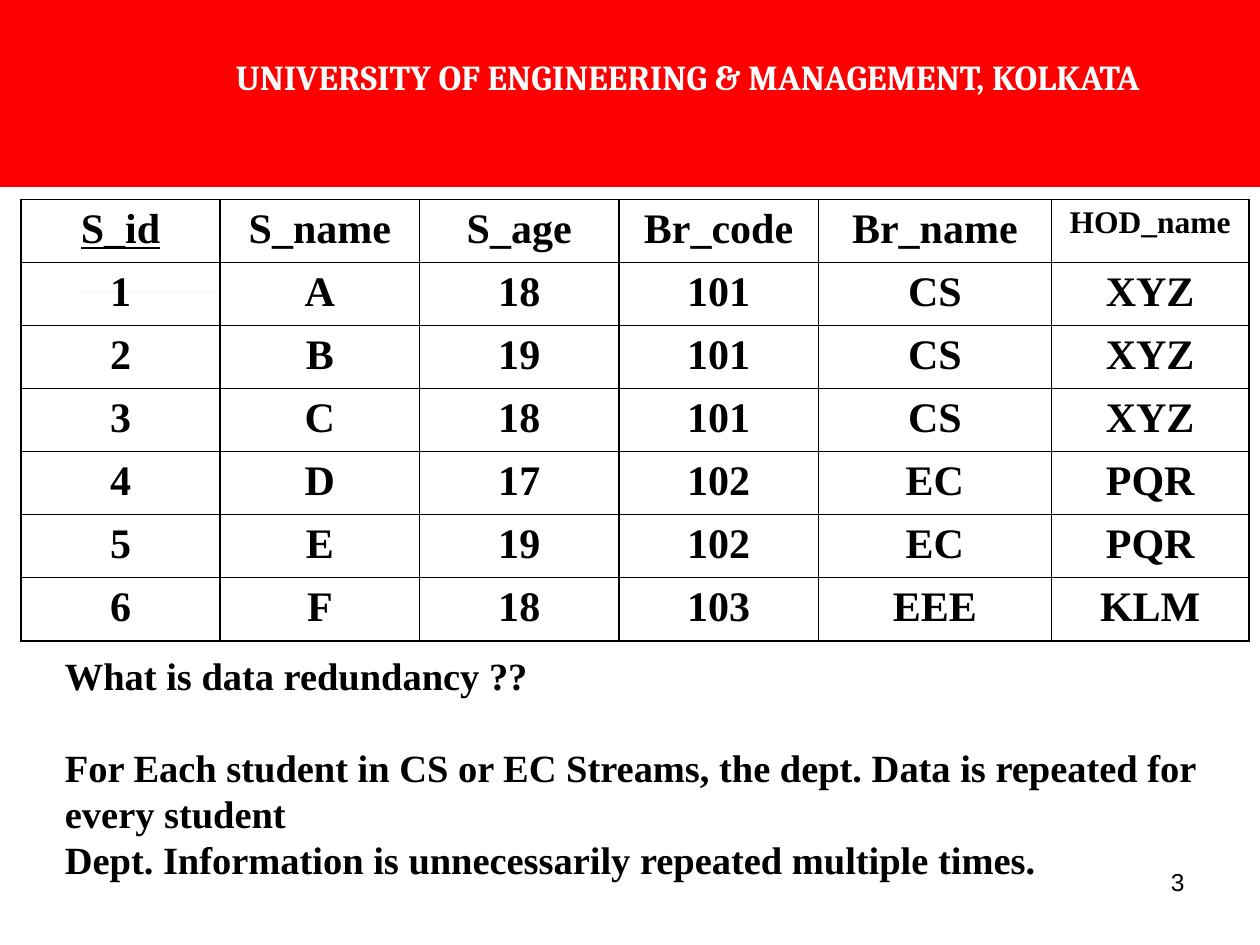
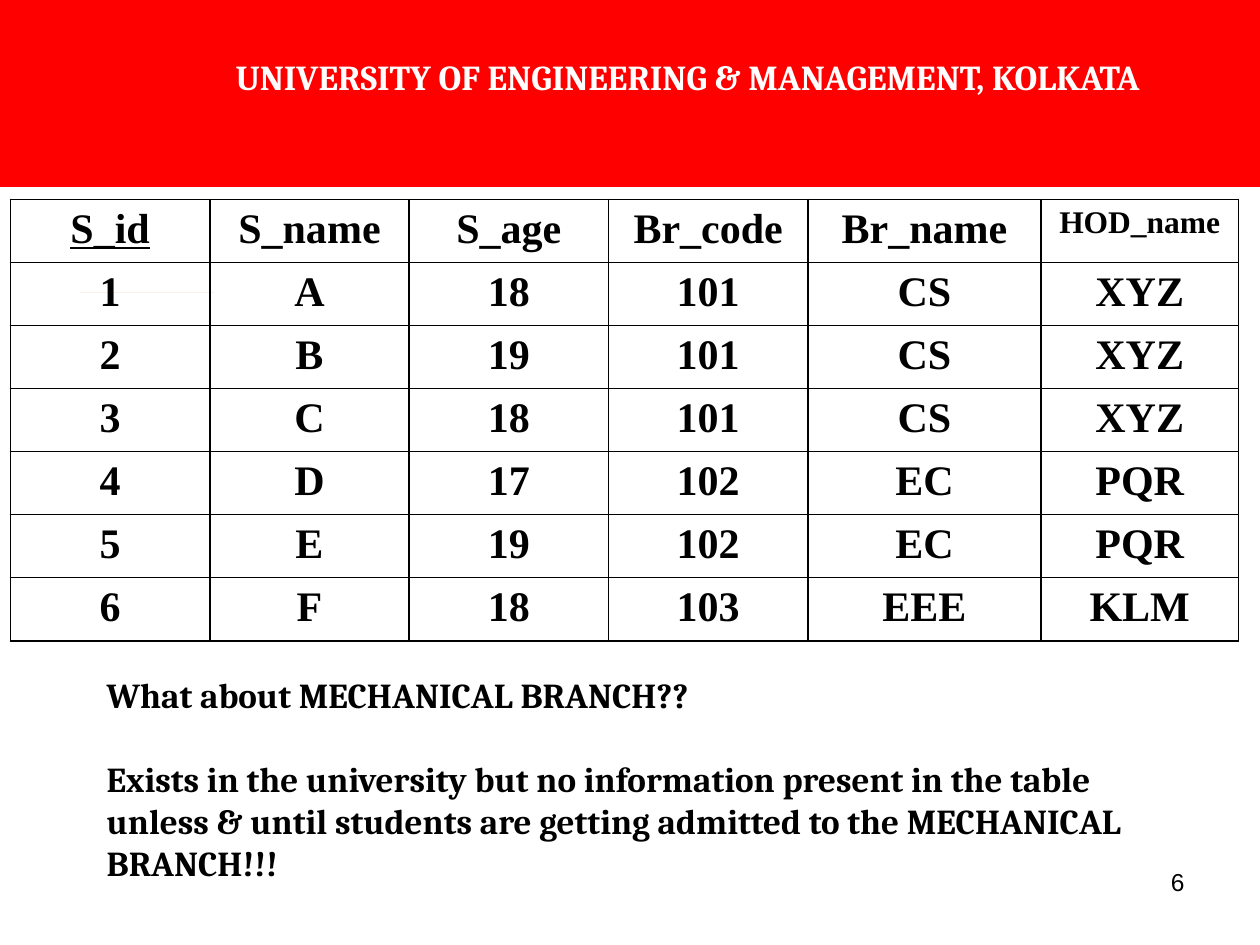
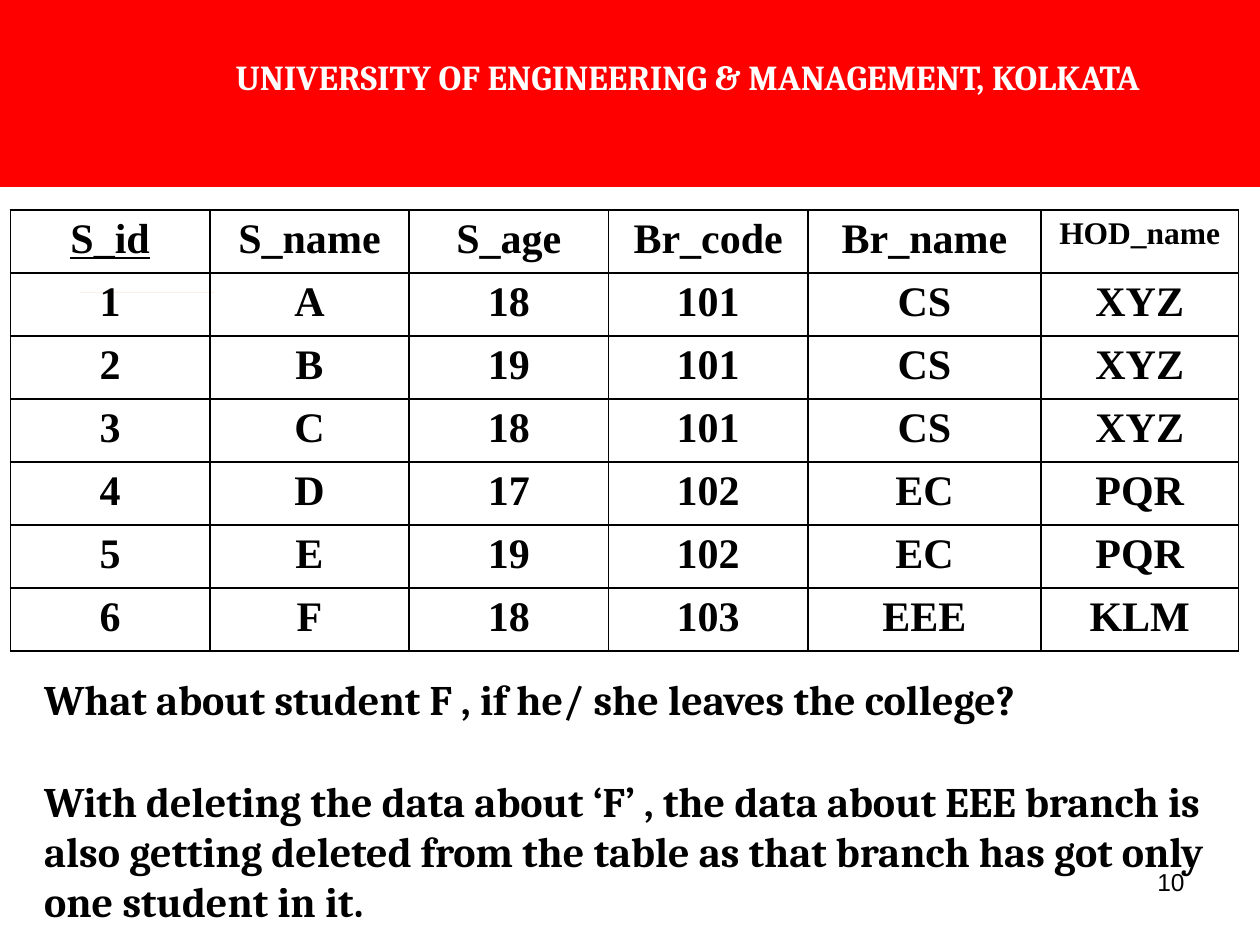
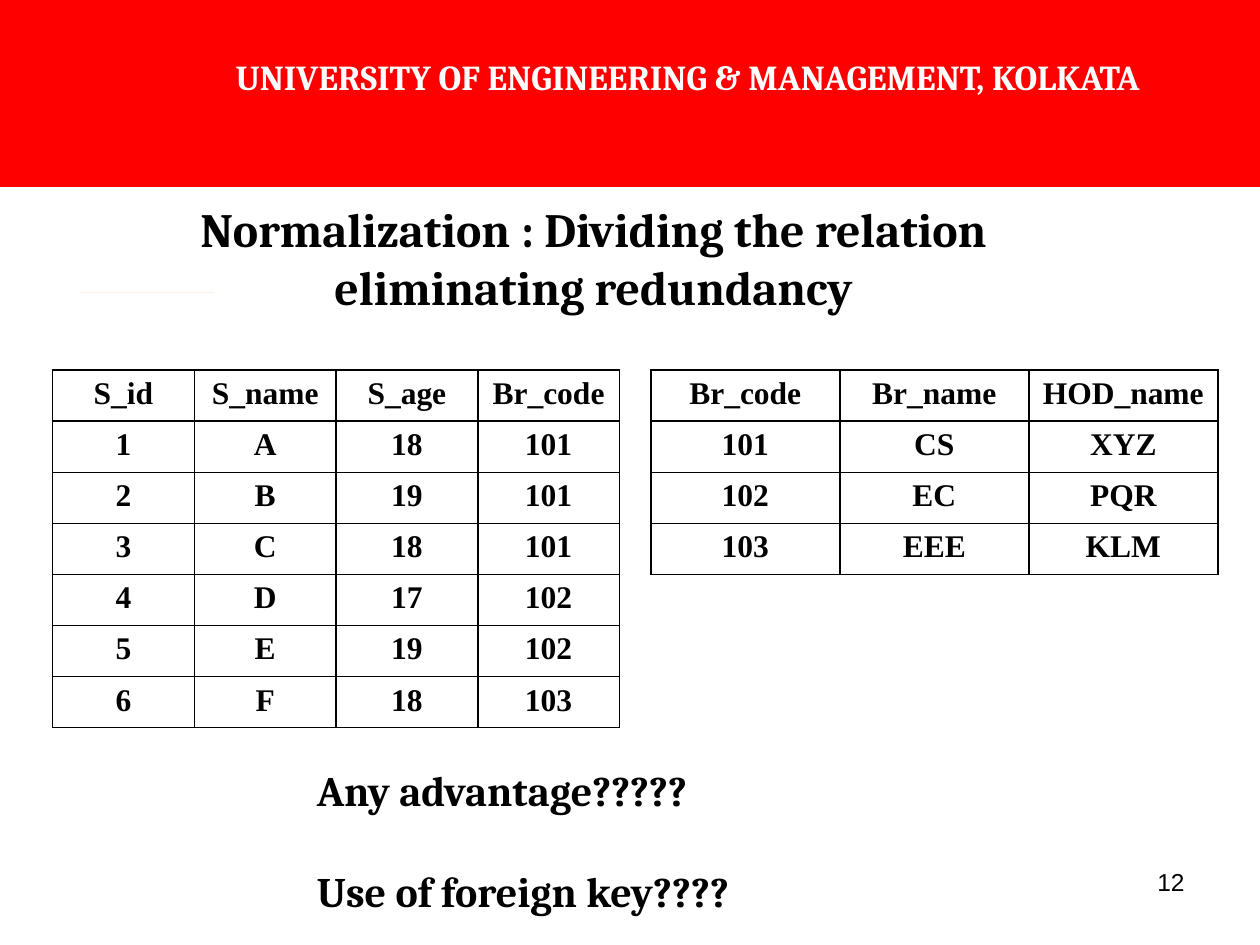
from dataclasses import dataclass

from lxml.etree import SubElement
from pptx import Presentation
from pptx.dml.color import RGBColor
from pptx.enum.shapes import MSO_SHAPE
from pptx.enum.text import MSO_ANCHOR, PP_ALIGN
from pptx.oxml.ns import qn
from pptx.util import Cm, Pt


@dataclass(frozen=True)
class Theme:
    """Colours, fonts and type sizes of the deck."""
    red: str = "FF0000"
    white: str = "FFFFFF"
    black: str = "000000"
    orange: str = "F79646"
    serif: str = "Cambria"
    times: str = "Times New Roman"
    sans: str = "Arial"
    title: float = 27.3
    large: float = 24
    note: float = 22
    band: float = 20
    small: float = 18
    page: float = 14
    rule: float = 1
    plain: str = "{2D5ABB26-0587-4C30-8999-92F81FD0307C}"


T = Theme()

# Data: the students, their branches, and the two joined
PUPILS = [
    ("S_id", "S_name", "S_age", "Br_code"),
    ("1", "A", "18", "101"),
    ("2", "B", "19", "101"),
    ("3", "C", "18", "101"),
    ("4", "D", "17", "102"),
    ("5", "E", "19", "102"),
    ("6", "F", "18", "103"),
]
UNITS = [
    ("Br_code", "Br_name", "HOD_name"),
    ("101", "CS", "XYZ"),
    ("102", "EC", "PQR"),
    ("103", "EEE", "KLM"),
]
HEADS = {code: rest for code, *rest in UNITS}
JOINED = [(*row, *HEADS[row[-1]]) for row in PUPILS]
WIDE = [4.02] * 4 + [4.7, 3.98]


# Text helpers
def write(para, text, size, font, color=T.black, bold=True, align=PP_ALIGN.LEFT):
    para.alignment = align
    run = para.add_run()
    run.text = text
    run.font.size = Pt(size)
    run.font.name = font
    run.font.bold = bold
    run.font.color.rgb = RGBColor.from_string(color)
    return run


def frame(slide, box):
    text = slide.shapes.add_textbox(*map(Cm, box)).text_frame
    text.word_wrap = True
    return text


# Table helpers
def grid(slide, left, top, cols, rows):
    shape = slide.shapes.add_table(
        len(rows), len(cols), Cm(left), Cm(top), Cm(sum(cols)), Cm(sum(rows)))
    table = shape.table
    table.first_row = table.horz_banding = False
    table._tbl.tblPr.find(qn("a:tableStyleId")).text = T.plain
    for col, width in zip(table.columns, cols):
        col.width = Cm(width)
    for row, height in zip(table.rows, rows):
        row.height = Cm(height)
    return table


def edge(cell):
    props = cell._tc.get_or_add_tcPr()
    for side in ("lnL", "lnR", "lnT", "lnB"):
        line = SubElement(props, qn(f"a:{side}"), w=str(Pt(T.rule)))
        fill = SubElement(line, qn("a:solidFill"))
        SubElement(fill, qn("a:srgbClr"), val=T.black)


def ruled(slide, left, top, cols, high, data, size):
    table = grid(slide, left, top, cols, [high] * len(data))
    for r, row in enumerate(data):
        for c, text in enumerate(row):
            cell = table.cell(r, c)
            edge(cell)
            cell.fill.background()
            fit = T.small if text == "HOD_name" else size
            write(cell.text_frame.paragraphs[0], text, fit, T.times,
                  align=PP_ALIGN.CENTER)
    return table


# Parts shared by all slides
def accent(slide):
    bar = slide.shapes.add_shape(
        MSO_SHAPE.RECTANGLE, Cm(1.6), Cm(5.89), Cm(2.72), Cm(0))
    bar.shadow.inherit = False
    bar.fill.solid()
    bar.fill.fore_color.rgb = RGBColor.from_string(T.orange)
    bar.line.fill.background()


def band(slide):
    table = grid(slide, 0, 0, [2.97, 21.79, 0.64], [1.07, 1.44, 1.26])
    for cell in table.iter_cells():
        cell.fill.solid()
        cell.fill.fore_color.rgb = RGBColor.from_string(T.red)
    for start, end in (((0, 0), (0, 1)), ((1, 0), (2, 0)), ((2, 1), (2, 2))):
        table.cell(*start).merge(table.cell(*end))
    write(table.cell(1, 1).text_frame.paragraphs[0],
          "UNIVERSITY OF ENGINEERING & MANAGEMENT, KOLKATA",
          T.band, T.serif, T.white, align=PP_ALIGN.CENTER)


def base(deck, page):
    slide = deck.slides.add_slide(deck.slide_layouts[6])
    accent(slide)
    band(slide)
    number = frame(slide, (18.21, 17.35, 5.92, 1.32))
    write(number.paragraphs[0], str(page), T.page, T.sans,
          bold=False, align=PP_ALIGN.RIGHT)
    return slide


def notes(slide, box, lines, size, font):
    """A question, a gap of one line, then the answer."""
    text = frame(slide, box)
    for i, line in enumerate(lines):
        para = text.add_paragraph() if i else text.paragraphs[0]
        if i == 1:
            para.space_before = Pt(round(size * 1.2))
        write(para, line, size, font)


# Slide types
def issue(deck, page, spot, box, lines, size, font):
    slide = base(deck, page)
    table = ruled(slide, *spot, WIDE, 1.19, JOINED, T.large)
    key = table.cell(0, 0).text_frame.paragraphs[0].runs[0]
    key.font.underline = True
    notes(slide, box, lines, size, font)


def split(deck, page, title, box, lines):
    slide = base(deck, page)
    head = frame(slide, (2.34, 3.6, 19.25, 3.18))
    head.vertical_anchor = MSO_ANCHOR.MIDDLE
    write(head.paragraphs[0], title, T.title, T.serif, align=PP_ALIGN.CENTER)
    for left, data in ((1.06, PUPILS), (13.12, UNITS)):
        count = len(data[0])
        ruled(slide, left, 7.46, [11.43 / count] * count, 1.03, data, T.small)
    notes(slide, box, lines, T.large, T.serif)


def main():
    deck = Presentation()
    deck.slide_width, deck.slide_height = Cm(25.4), Cm(19.05)

    issue(deck, 3, (0.42, 4.02), (1.06, 13.02, 24.34, 4.95), [
        "What is data redundancy ??",
        "For Each student in CS or EC Streams, the dept. Data is repeated "
        "for every student",
        "Dept. Information is unnecessarily repeated multiple times.",
    ], T.note, T.times)

    issue(deck, 6, (0.21, 4.02), (1.9, 13.46, 22.23, 4.52), [
        "What about MECHANICAL BRANCH??",
        "Exists in the university but no information present in the table "
        "unless & until students are getting admitted to the MECHANICAL "
        "BRANCH!!!",
    ], T.band, T.serif)

    issue(deck, 10, (0.21, 4.23), (0.64, 13.46, 24.13, 5.38), [
        "What about student F , if he/ she leaves the college?",
        "With deleting the data about ‘F’ , the data about EEE branch is "
        "also getting deleted from the table as that branch has got only "
        "one student in it.",
    ], T.large, T.serif)

    split(deck, 12,
          "Normalization : Dividing the relation eliminating redundancy",
          (6.14, 15.29, 14.4, 3.33),
          ["Any advantage?????", "Use of foreign key????"])

    deck.save("out.pptx")


if __name__ == "__main__":
    main()
